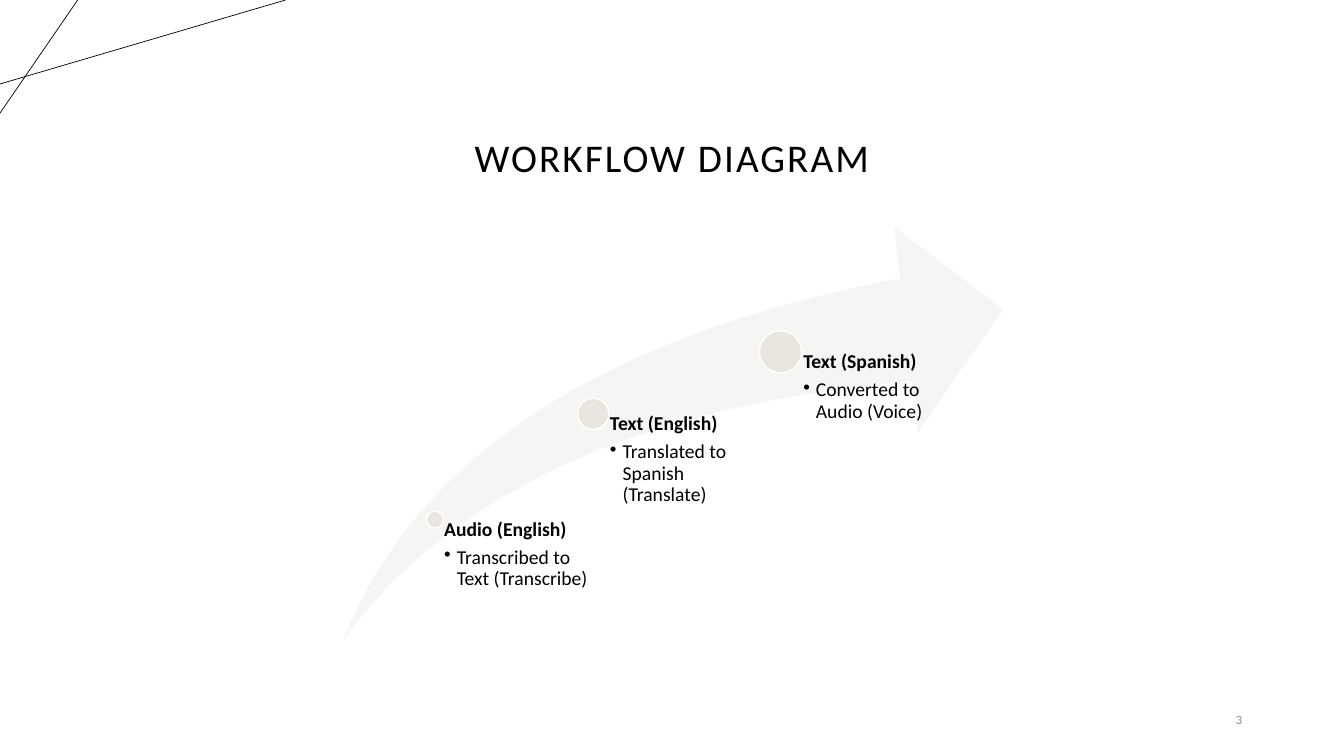
from pptx import Presentation
from pptx.dml.color import RGBColor
from pptx.enum.shapes import MSO_CONNECTOR, MSO_SHAPE
from pptx.enum.text import MSO_ANCHOR, PP_ALIGN
from pptx.oxml.ns import qn
from pptx.util import Pt
from lxml import etree

LEFT, CENTER, RIGHT = PP_ALIGN.LEFT, PP_ALIGN.CENTER, PP_ALIGN.RIGHT
TOP, MIDDLE, BOTTOM = MSO_ANCHOR.TOP, MSO_ANCHOR.MIDDLE, MSO_ANCHOR.BOTTOM
SWOOSH, OVAL = MSO_SHAPE.SWOOSH_ARROW, MSO_SHAPE.OVAL
STRAIGHT = MSO_CONNECTOR.STRAIGHT
FONT = "Calibri"
BLACK, WHITE, GRAY = "000000", "FFFFFF", "8C8C8C"
SAND, STONE = "F7F5F3", "E9E6DF"
FLOOR = 456

STAGES = [
    (310.7, 371.2, 12.2, 109.4, "Audio (English)", "Transcribed to Text (Transcribe)"),
    (423.7, 295.6, 22.3, 113, "Text (English)", "Translated to Spanish (Translate)"),
    (557.5, 251.3, 30.2, 113, "Text (Spanish)", "Converted to Audio (Voice)"),
]


def color(code):
    """Turn a hex string into a colour."""
    return RGBColor.from_string(code)


def add_line(slide, x1, y1, x2, y2):
    """Draw a thin black line between two points."""
    line = slide.shapes.add_connector(STRAIGHT, Pt(x1), Pt(y1), Pt(x2), Pt(y2))
    line.line.color.rgb = color(BLACK)
    line.line.width = Pt(0.5)
    etree.SubElement(line._element.spPr, qn("a:effectLst"))


def add_shape(slide, kind, box, fill, edge=None):
    """Draw a filled preset shape with an optional outline."""
    shape = slide.shapes.add_shape(kind, *map(Pt, box))
    shape.shadow.inherit = False
    shape.fill.solid()
    shape.fill.fore_color.rgb = color(fill)
    if edge:
        shape.line.color.rgb = color(edge)
        shape.line.width = Pt(1)
    else:
        shape.line.fill.background()
    return shape


def add_frame(slide, box, anchor=TOP, inset=(7.2, 3.6, 7.2, 3.6)):
    """Add a wrapping text box and return its text frame."""
    frame = slide.shapes.add_textbox(*map(Pt, box)).text_frame
    frame.word_wrap = True
    frame.vertical_anchor = anchor
    frame.margin_left, frame.margin_top, frame.margin_right, frame.margin_bottom = map(Pt, inset)
    return frame


def add_text(para, text, size=14, ink=BLACK, bold=False, align=LEFT, after=0, track=0, bullet=False):
    """Write formatted text into a paragraph."""
    para.alignment = align
    para.line_spacing = 0.9
    para.space_after = Pt(after)
    run = para.add_run()
    run.text = text
    font = run.font
    font.name, font.size, font.bold = FONT, Pt(size), bold
    font.color.rgb = color(ink)
    if track:
        run._r.get_or_add_rPr().set("spc", str(round(track * 100)))
    if bullet:
        props = para._p.get_or_add_pPr()
        props.set("marL", str(Pt(9)))
        props.set("indent", str(-Pt(9)))
        etree.SubElement(props, qn("a:buChar"), char="•")


def add_stage(slide, x, y, size, width, head, note):
    """Draw a dot centred on a point and its label hanging to the right."""
    add_shape(slide, OVAL, (x - size / 2, y - size / 2, size, size), STONE, WHITE)
    frame = add_frame(slide, (x, y, width, FLOOR - y), inset=(size * 0.54, 0, 0, 0))
    add_text(frame.paragraphs[0], head, bold=True, after=5)
    add_text(frame.add_paragraph(), note, after=2, bullet=True)


def main():
    """Build the workflow slide and save it."""
    deck = Presentation()
    deck.slide_width, deck.slide_height = Pt(960), Pt(540)
    slide = deck.slides.add_slide(deck.slide_layouts[6])
    add_line(slide, 0, 60, 204, 0)
    add_line(slide, 55.5, 0, 0, 80.8)
    title = add_frame(slide, (66, 28, 828, 104.5), BOTTOM)
    add_text(title.paragraphs[0], "WORKFLOW DIAGRAM", size=28, align=CENTER, track=1.5)
    page = add_frame(slide, (816.5, 500.5, 78, 28.8), MIDDLE)
    add_text(page.paragraphs[0], "3", size=9, ink=GRAY, align=RIGHT)
    arrow = add_shape(slide, SWOOSH, (245.5, 162, 471, 294.5), SAND)
    arrow.adjustments[0] = arrow.adjustments[1] = 0.25
    for stage in STAGES:
        add_stage(slide, *stage)
    deck.save("out.pptx")


if __name__ == "__main__":
    main()
